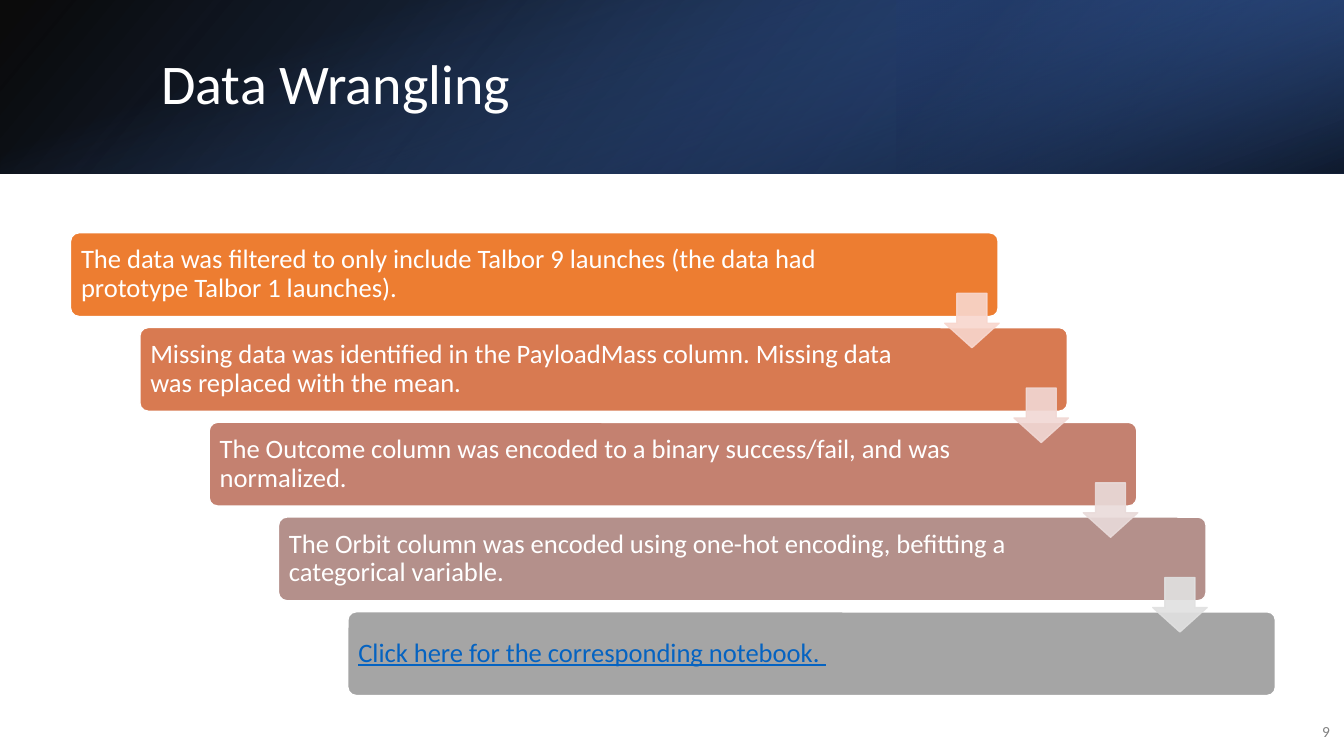
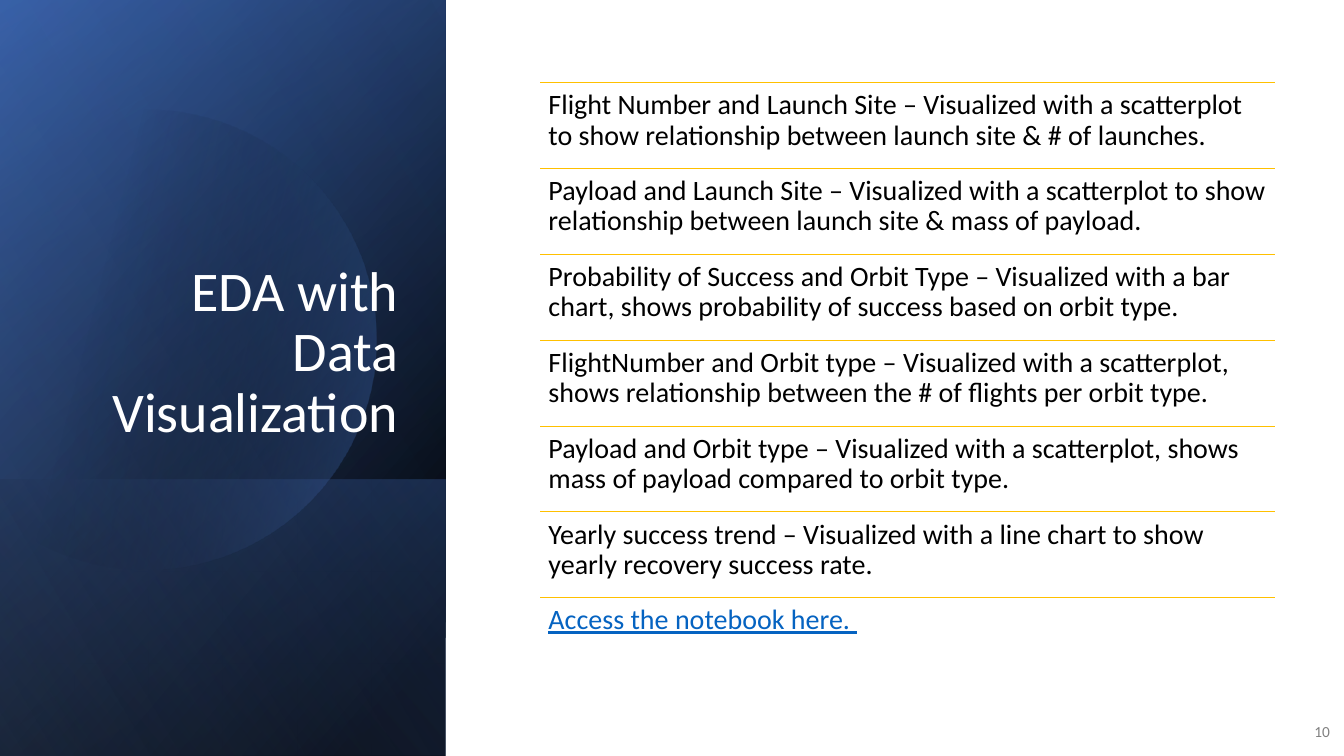
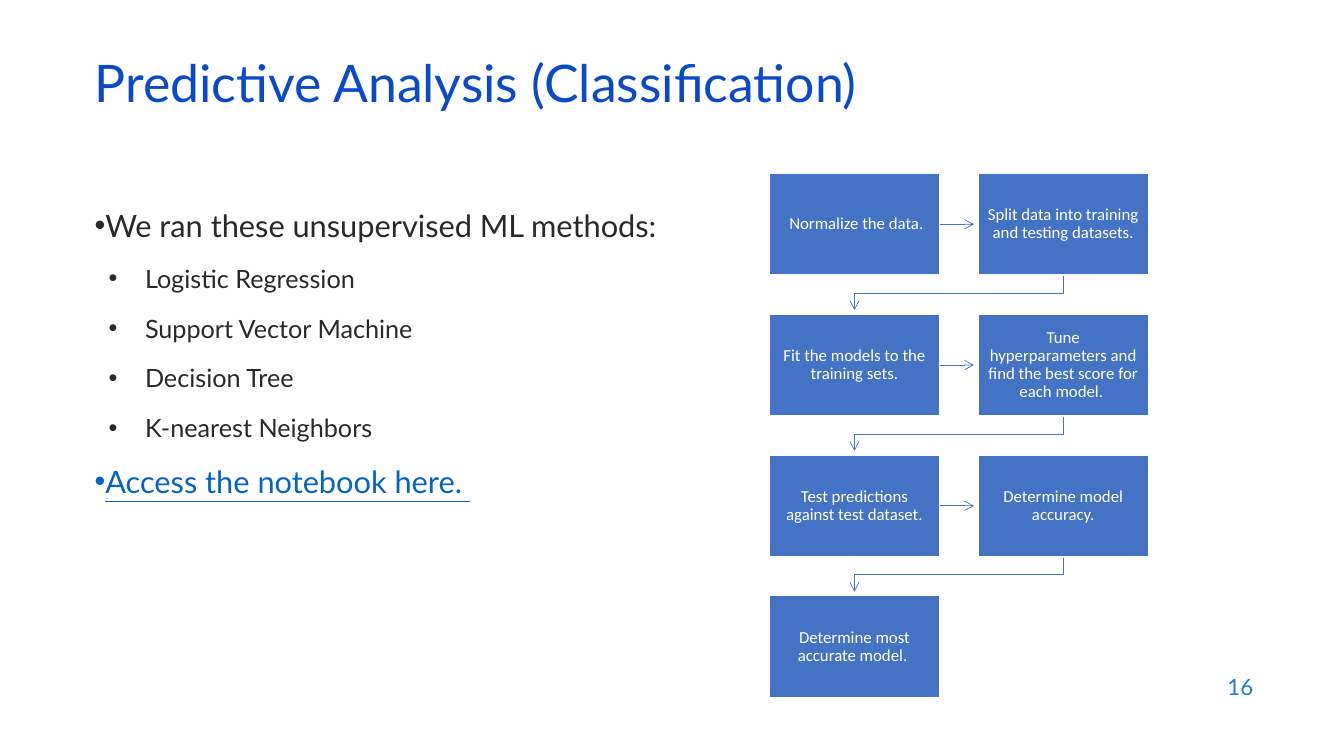
import math

import pptx
import pptx.dml.color
import pptx.enum.shapes
import pptx.enum.text
import pptx.oxml
import pptx.oxml.ns
import pptx.util
from pptx.util import Inches

SHAPE = pptx.enum.shapes.MSO_SHAPE
LINK = pptx.enum.shapes.MSO_CONNECTOR
ALIGN = pptx.enum.text.PP_ALIGN
ANCHOR = pptx.enum.text.MSO_ANCHOR
QN = pptx.oxml.ns.qn
NS = pptx.oxml.ns.nsdecls("a")

HUES = {
    "white": "FFFFFF", "black": "000000", "gray": "808080", "ink": "292929",
    "blue": "4472C4", "deep": "2F5597", "navy": "203864", "pale": "8FAADC",
    "gold": "FFC000", "link": "0563C1", "royal": "0B49CB", "sky": "1C7DDB",
    "bar1": "ED7D31", "bar2": "D87A51", "bar3": "C48170", "bar4": "B4908B",
    "bar5": "A5A5A5",
    "tip1": "F8D7CE", "tip2": "F1D8D4", "tip3": "E9DBDA", "tip4": "E1E1E1",
}
SANS = "Calibri"
LATO = "Lato"

STEPS = [
    "The data was filtered to only include Talbor 9 launches (the data had prototype Talbor 1 launches). ",
    "Missing data was identified in the PayloadMass column. Missing data was replaced with the mean. ",
    "The Outcome column was encoded to a binary success/fail, and was normalized. ",
    "The Orbit column was encoded using one-hot encoding, befitting a categorical variable. ",
    "Click here for the corresponding notebook. ",
]
PLOTS = [
    "Flight Number and Launch Site – Visualized with a scatterplot to show relationship between launch site & # of launches. ",
    "Payload and Launch Site – Visualized with a scatterplot to show relationship between launch site & mass of payload. ",
    "Probability of Success and Orbit Type – Visualized with a bar chart, shows probability of success based on orbit type. ",
    "FlightNumber and Orbit type – Visualized with a scatterplot, shows relationship between the # of flights per orbit type. ",
    "Payload and Orbit type – Visualized with a scatterplot, shows mass of payload compared to orbit type.",
    "Yearly success trend – Visualized with a line chart to show yearly recovery success rate. ",
    "Access the notebook here. ",
]
METHODS = [
    ("We ran these unsupervised ML methods:", 0),
    ("Logistic Regression", 1),
    ("Support Vector Machine", 1),
    ("Decision Tree", 1),
    ("K-nearest Neighbors", 1),
    ("Access the notebook here. ", 0),
]
FLOW = [
    " Normalize the data.",
    "Split data into training and testing datasets.",
    "Fit the models to the training sets.",
    "Tune hyperparameters and find the best score for each model. ",
    "Test predictions against test dataset.",
    "Determine model accuracy.",
    "Determine most accurate model. ",
]


def hue(name):
    return pptx.dml.color.RGBColor.from_string(HUES[name])


def write(para, text, size, color, font=SANS, under=False):
    run = para.add_run()
    run.text = text
    run.font.size = pptx.util.Pt(size)
    run.font.name = font
    run.font.color.rgb = hue(color)
    if under:
        run.font.underline = True


def setup(frame, anchor, pad=None):
    frame.word_wrap = True
    frame.auto_size = pptx.enum.text.MSO_AUTO_SIZE.NONE
    frame.vertical_anchor = anchor
    if pad is not None:
        frame.margin_left = frame.margin_right = Inches(pad)
        frame.margin_top = frame.margin_bottom = Inches(pad)


def label(frame, text, size, color, font=SANS, align=ALIGN.LEFT, gap=0.9, under=False):
    para = frame.paragraphs[0]
    para.alignment = align
    para.line_spacing = gap
    write(para, text, size, color, font, under)


def textbox(slide, box):
    return slide.shapes.add_textbox(*map(Inches, box)).text_frame


def block(slide, kind, box, fill, alpha=None):
    shape = slide.shapes.add_shape(kind, *map(Inches, box))
    shape.shadow.inherit = False
    shape.fill.solid()
    shape.fill.fore_color.rgb = hue(fill)
    shape.line.color.rgb = hue(fill if alpha else "white")
    shape.line.width = pptx.util.Pt(1)
    if alpha:
        for tint in shape._element.spPr.iter(QN("a:srgbClr")):
            tint.append(pptx.oxml.parse_xml(f'<a:alpha {NS} val="{alpha * 1000}"/>'))
    return shape


def shade(shape, stops, angle):
    shape.shadow.inherit = False
    shape.line.fill.background()
    shape.fill.solid()
    marks = "".join(
        f'<a:gs pos="{pos * 1000}"><a:srgbClr val="{HUES[name]}">'
        f'<a:alpha val="{alpha * 1000}"/></a:srgbClr></a:gs>'
        for pos, name, alpha in stops)
    props = shape._element.spPr
    props.replace(props.find(QN("a:solidFill")), pptx.oxml.parse_xml(
        f'<a:gradFill {NS} rotWithShape="1"><a:gsLst>{marks}</a:gsLst>'
        f'<a:lin ang="{angle * 60000}" scaled="0"/></a:gradFill>'))


def band(slide, box, stops, angle, turn=0, flip=True):
    left, top, wide, high = box
    if turn % 180:
        left, top = left + (wide - high) / 2, top + (high - wide) / 2
        wide, high = high, wide
    shape = slide.shapes.add_shape(SHAPE.RECTANGLE, *map(Inches, (left, top, wide, high)))
    shape.rotation = turn
    if flip:
        shape._element.spPr.find(QN("a:xfrm")).set("flipH", "1")
    shade(shape, stops, angle)


def disc(slide, mid, size, stops, angle):
    limit = math.degrees(math.acos(-mid[0] / size))
    turns = [math.radians(limit * step / 60) for step in range(-60, 61)]
    dots = [(Inches(mid[0] + size * math.cos(turn)), Inches(mid[1] + size * math.sin(turn)))
            for turn in turns]
    maker = slide.shapes.build_freeform(*dots[0], scale=1.0)
    maker.add_line_segments(dots[1:], close=True)
    shade(maker.convert_to_shape(), stops, angle)


def line(slide, kind, start, end, color, arrow=False):
    link = slide.shapes.add_connector(kind, *map(Inches, (*start, *end)))
    link.line.color.rgb = hue(color)
    link.line.width = pptx.util.Pt(0.5)
    if arrow:
        link.line._get_or_add_ln().append(
            pptx.oxml.parse_xml(f'<a:tailEnd {NS} type="arrow"/>'))
    link._element.spPr.append(pptx.oxml.parse_xml(f"<a:effectLst {NS}/>"))
    return link


def elbow(slide, start, end, color):
    mid = [(a + b) / 2 for a, b in zip(start, end)]
    wide, high = end[1] - start[1], start[0] - end[0]
    link = line(slide, LINK.ELBOW, (mid[0] - wide / 2, mid[1] - high / 2),
                (mid[0] + wide / 2, mid[1] + high / 2), color, True)
    link._element.spPr.find(QN("a:xfrm")).set("rot", "5400000")


def title(slide, box, text, size=40, color="white", font=SANS,
          anchor=ANCHOR.MIDDLE, align=ALIGN.LEFT, gap=0.9):
    head = slide.shapes.title
    head.left, head.top, head.width, head.height = map(Inches, box)
    setup(head.text_frame, anchor)
    label(head.text_frame, text, size, color, font, align, gap)
    slide.shapes._spTree.append(head._element)


def number(slide, text, box=(12.8, 7.06, 0.49, 0.4), size=11, color="gray", font=SANS):
    frame = textbox(slide, box)
    setup(frame, ANCHOR.MIDDLE)
    label(frame, text, size, color, font, ALIGN.RIGHT, 1.0)


def stairs(slide, box):
    left, top, wide, high = box
    bar, tall, tip = 9.2, 0.83, 0.54
    last = len(STEPS) - 1
    across, down = (wide - bar) / last, (high - tall) / last
    for step, text in enumerate(STEPS):
        place = (left + step * across, top + step * down, bar, tall)
        shape = block(slide, SHAPE.ROUNDED_RECTANGLE, place, f"bar{step + 1}")
        shape.adjustments[0] = 0.1
        setup(shape.text_frame, ANCHOR.MIDDLE, 0.08)
        shape.text_frame.margin_right = Inches(1.29)
        ends = step == last
        label(shape.text_frame, text, 19, "link" if ends else "white", under=ends)
    for step in range(last):
        place = (left + step * across + 8.67, top + step * down + 0.6, tip, tip)
        shape = block(slide, SHAPE.DOWN_ARROW, place, f"tip{step + 1}", 90)
        shape.adjustments[0] = 0.55
        shape.adjustments[1] = 0.45


def rows(slide, box):
    left, top, wide, high = box
    pitch = high / len(PLOTS)
    for row, text in enumerate(PLOTS):
        edge = top + row * pitch
        line(slide, LINK.STRAIGHT, (left, edge), (left + wide, edge), "gold")
        frame = textbox(slide, (left, edge, wide, pitch))
        setup(frame, ANCHOR.TOP, 0.08)
        ends = row == len(PLOTS) - 1
        label(frame, text, 20, "link" if ends else "black", under=ends)


def bullets(slide, box):
    frame = textbox(slide, box)
    setup(frame, ANCHOR.TOP)
    for item, (text, level) in enumerate(METHODS):
        para = frame.add_paragraph() if item else frame.paragraphs[0]
        props = para._p.get_or_add_pPr()
        props.set("marL", str(Inches(0.5 * level)))
        props.set("indent", str(Inches(-0.36 * level)))
        props.append(pptx.oxml.parse_xml(f'<a:buFont {NS} typeface="Arial"/>'))
        props.append(pptx.oxml.parse_xml(f'<a:buChar {NS} char="•"/>'))
        if item:
            para.space_before = pptx.util.Pt(14)
        ends = item == len(METHODS) - 1
        write(para, text, 18 if level else 22, "link" if ends else "ink", LATO, ends)


def flow(slide, box):
    left, top, wide, high = box
    cell, tall = 1.69, 1.01
    across, down = wide - cell, (high - tall) / 3
    for item, text in enumerate(FLOW):
        row, col = divmod(item, 2)
        x, y = left + col * across, top + row * down
        shape = block(slide, SHAPE.RECTANGLE, (x, y, cell, tall), "blue")
        setup(shape.text_frame, ANCHOR.MIDDLE, 0.09)
        label(shape.text_frame, text, 12, "white", align=ALIGN.CENTER)
        if item == len(FLOW) - 1:
            continue
        if col:
            elbow(slide, (x + cell / 2, y + tall + 0.01),
                  (left + cell / 2, y + down - 0.04), "blue")
        else:
            mid = y + tall / 2
            line(slide, LINK.STRAIGHT, (x + cell, mid), (x + across - 0.04, mid), "blue", True)


def wrangle(slide):
    strip = (0, 0, 13.33, 1.72)
    band(slide, strip, [(0, "black", 96), (100, "deep", 100)], 140)
    band(slide, (8.89, 0, 4.44, 1.72), [(19, "navy", 68), (100, "blue", 79)], 320, 180)
    band(slide, strip, [(23, "blue", 0), (99, "black", 74)], 340, 90, False)
    title(slide, (1.5, 0.38, 10.98, 0.96), "Data Wrangling")
    number(slide, "9")
    stairs(slide, (0.7, 2.31, 11.95, 4.59))


def explore(slide):
    side = (0, 0, 4.42, 7.5)
    band(slide, side, [(8, "black", 100), (100, "deep", 100)], 50, 90)
    band(slide, side, [(0, "black", 0), (99, "blue", 46)], 30, 90)
    band(slide, (0, 4.76, 4.42, 2.74), [(2, "blue", 29), (100, "black", 30)], 130, 90)
    disc(slide, (1.45, 3.37), 2.28, [(29, "black", 0), (100, "blue", 43)], 14)
    band(slide, side, [(0, "black", 0), (99, "pale", 11)], 120, 90)
    title(slide, (0.64, 1.84, 3.41, 2.62), "EDA with Data Visualization",
          anchor=ANCHOR.BOTTOM, align=ALIGN.RIGHT)
    number(slide, "10")
    rows(slide, (5.36, 0.82, 7.29, 5.96))


def predict(slide):
    number(slide, "16", (9.53, 6.59, 3, 0.44), 16, "sky", LATO)
    bullets(slide, (0.84, 2, 6.5, 4.76))
    title(slide, (0.84, 0.59, 11.5, 0.6), "Predictive Analysis (Classification)",
          37, "royal", LATO, gap=0.7)
    flow(slide, (7.63, 1.72, 3.76, 5.2))


def main():
    deck = pptx.Presentation()
    deck.slide_width = Inches(13.33)
    deck.slide_height = Inches(7.5)
    for build in (wrangle, explore, predict):
        build(deck.slides.add_slide(deck.slide_layouts[5]))
    deck.save("out.pptx")


if __name__ == "__main__":
    main()
